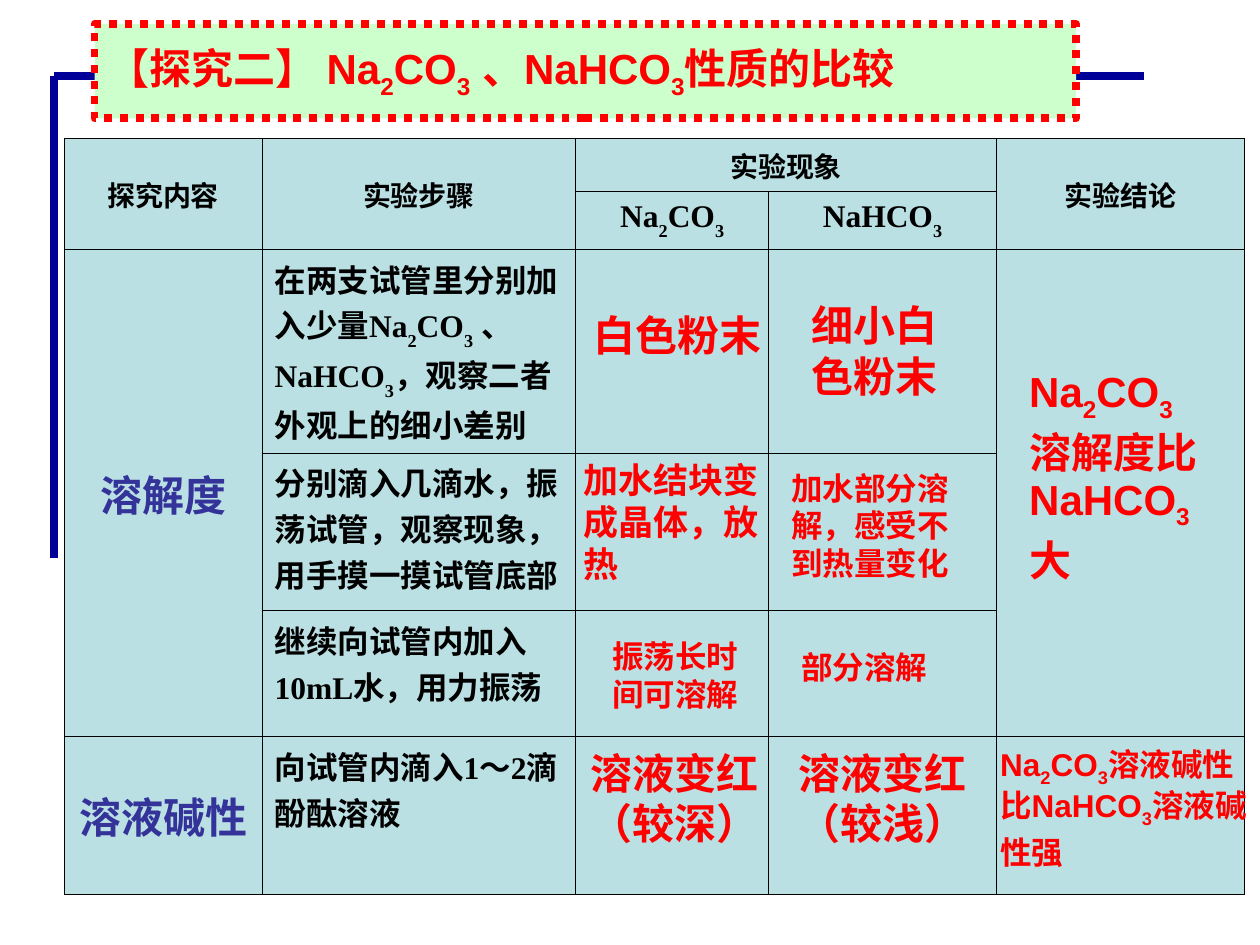
"""Build a slide comparing the properties of sodium carbonate and bicarbonate."""
from dataclasses import dataclass

from lxml import etree
from pptx import Presentation
from pptx import util as u
from pptx.dml.color import RGBColor
from pptx.enum import dml, shapes, text
from pptx.oxml import ns


@dataclass(frozen=True)
class Theme:
    """Colours, fonts and type sizes of the slide."""
    red: str = "FF0000"
    navy: str = "000099"
    indigo: str = "333399"
    black: str = "000000"
    mint: str = "CCFFCC"
    teal: str = "BBE0E3"
    sans: str = "Arial"
    serif: str = "Times New Roman"
    chinese: str = "Noto Sans CJK SC"
    large: int = 24
    medium: int = 20
    body: int = 18
    header: int = 16
    rule: float = 4.5
    border: float = 0.45


@dataclass(frozen=True)
class Style:
    """Type style of one paragraph."""
    size: int
    color: str
    font: str
    subscript: int = -25
    centered: bool = False


THEME = Theme()
TITLE = Style(THEME.large, THEME.red, THEME.sans)
HEADER = Style(THEME.header, THEME.black, THEME.serif, -30, True)
FORMULA = Style(THEME.body, THEME.black, THEME.serif, -30, True)
TOPIC = Style(THEME.large, THEME.indigo, THEME.serif, -30, True)
STEP = Style(THEME.body, THEME.black, THEME.serif, -30)
MEDIUM = Style(THEME.medium, THEME.red, THEME.sans)
SMALL = Style(THEME.body, THEME.red, THEME.sans)
COLOR_CHANGE = Style(THEME.large, THEME.red, THEME.chinese, centered=True)


@dataclass(frozen=True)
class Line:
    """A straight rule between two points."""
    x1: float
    y1: float
    x2: float
    y2: float


@dataclass(frozen=True)
class Entry:
    """The text of one table cell and the cells it spans."""
    row: int
    column: int
    words: str
    style: Style
    rows: int = 1
    columns: int = 1


@dataclass(frozen=True)
class Finding:
    """An answer laid over the table, with its number of lines."""
    left: float
    top: float
    width: float
    height: float
    lines: int
    words: str
    style: Style


LINES = [Line(0.43, 0.6, 0.43, 4.43), Line(4.92, 0.6, 9.08, 0.6), Line(0.43, 0.6, 1.27, 0.6)]
COLUMNS = [1.57, 2.49, 1.53, 1.81, 1.97]
ROWS = [0.37, 0.46, 1.6, 1.25, 1, 1.25]
ENTRIES = [
    Entry(0, 0, "探究内容", HEADER, rows=2),
    Entry(0, 1, "实验步骤", HEADER, rows=2),
    Entry(0, 2, "实验现象", HEADER, columns=2),
    Entry(0, 4, "实验结论", HEADER, rows=2),
    Entry(1, 2, "Na_2CO_3", FORMULA),
    Entry(1, 3, "NaHCO_3", FORMULA),
    Entry(2, 0, "溶解度", TOPIC, rows=3),
    Entry(2, 1, "在两支试管里分别加入少量Na_2CO_3 、NaHCO_3，观察二者外观上的细小差别", STEP),
    Entry(2, 4, "", STEP, rows=3),
    Entry(3, 1, "分别滴入几滴水，振荡试管，观察现象，用手摸一摸试管底部", STEP),
    Entry(4, 1, "继续向试管内加入10mL水，用力振荡", STEP),
    Entry(5, 0, "溶液碱性", TOPIC),
    Entry(5, 1, "向试管内滴入1～2滴酚酞溶液", STEP),
]
FINDINGS = [
    Finding(4.61, 2.41, 1.73, 0.5, 1, "白色粉末", TITLE),
    Finding(6.34, 2.33, 1.5, 0.9, 2, "细小白色粉末", TITLE),
    Finding(4.53, 3.59, 1.65, 1.1, 3, "加水结块变成晶体，放热", MEDIUM),
    Finding(6.18, 3.67, 1.65, 1, 3, "加水部分溶解，感受不到热量变化", SMALL),
    Finding(4.76, 5.01, 1.26, 0.7, 2, "振荡长时间可溶解", SMALL),
    Finding(6.26, 5.09, 1.5, 0.4, 1, "部分溶解", SMALL),
    Finding(8.07, 2.88, 1.57, 1.81, 4, "Na_2CO_3溶解度比NaHCO_3大", TITLE),
    Finding(4.53, 5.88, 1.65, 0.9, 2, "溶液变红（较深）", COLOR_CHANGE),
    Finding(6.18, 5.88, 1.65, 0.9, 2, "溶液变红（较浅）", COLOR_CHANGE),
    Finding(7.84, 5.88, 2.16, 1.08, 3, "Na_2CO_3溶液碱性比NaHCO_3溶液碱性强", SMALL),
]


def rgb(color: str) -> RGBColor:
    """Return the colour for a hexadecimal string."""
    return RGBColor.from_string(color)


def write(paragraph, words: str, style: Style) -> None:
    """Write words, setting each character after an underscore as a subscript."""
    first, *rest = words.split("_")
    pieces = [(first, False)]
    for part in rest:
        pieces += [(part[0], True), (part[1:], False)]
    paragraph.alignment = text.PP_ALIGN.CENTER if style.centered else text.PP_ALIGN.LEFT
    for piece, lowered in pieces:
        if not piece:
            continue
        run = paragraph.add_run()
        run.text = piece
        run.font.size = u.Pt(style.size)
        run.font.bold = True
        run.font.name = style.font
        run.font.color.rgb = rgb(style.color)
        properties = run.font._element
        etree.SubElement(properties, ns.qn("a:ea"), typeface=THEME.chinese)
        if lowered:
            properties.set("baseline", str(style.subscript * 1000))


def draw_line(slide, line: Line) -> None:
    """Draw one thick rule without a shadow."""
    points = map(u.Inches, (line.x1, line.y1, line.x2, line.y2))
    connector = slide.shapes.add_connector(shapes.MSO_CONNECTOR.STRAIGHT, *points)
    connector.line.color.rgb = rgb(THEME.navy)
    connector.line.width = u.Pt(THEME.rule)
    etree.SubElement(connector._element.spPr, ns.qn("a:effectLst"))


def draw_title(slide) -> None:
    """Turn the title placeholder into a dotted rounded banner above the rules."""
    title = slide.shapes.title
    title.left, title.top, title.width, title.height = map(u.Inches, (0.75, 0.19, 7.79, 0.75))
    geometry = etree.SubElement(title._element.spPr, ns.qn("a:prstGeom"), prst="roundRect")
    etree.SubElement(geometry, ns.qn("a:avLst"))
    title.fill.solid()
    title.fill.fore_color.rgb = rgb(THEME.mint)
    title.line.color.rgb = rgb(THEME.red)
    title.line.width = u.Pt(THEME.rule)
    title.line.dash_style = dml.MSO_LINE.ROUND_DOT
    frame = title.text_frame
    frame.word_wrap = True
    frame.auto_size = text.MSO_AUTO_SIZE.NONE
    frame.vertical_anchor = text.MSO_ANCHOR.MIDDLE
    write(frame.paragraphs[0], "【探究二】 Na_2CO_3 、NaHCO_3性质的比较", TITLE)
    slide.shapes._spTree.append(title._element)


def format_cell(cell) -> None:
    """Give a cell its fill and thin borders."""
    cell.fill.solid()
    cell.fill.fore_color.rgb = rgb(THEME.teal)
    properties = cell._tc.get_or_add_tcPr()
    for index, side in enumerate(("lnL", "lnR", "lnT", "lnB")):
        border = etree.Element(ns.qn(f"a:{side}"), w=str(u.Pt(THEME.border)))
        fill = etree.SubElement(border, ns.qn("a:solidFill"))
        etree.SubElement(fill, ns.qn("a:srgbClr"), val=THEME.black)
        properties.insert(index, border)


def draw_table(slide) -> None:
    """Draw the experiment table with its merged cells."""
    bounds = map(u.Inches, (0.51, 1.1, sum(COLUMNS), sum(ROWS)))
    table = slide.shapes.add_table(len(ROWS), len(COLUMNS), *bounds).table
    table.first_row = table.horz_banding = False
    for column, width in zip(table.columns, COLUMNS):
        column.width = u.Inches(width)
    for row, height in zip(table.rows, ROWS):
        row.height = u.Inches(height)
    for cell in table.iter_cells():
        format_cell(cell)
    for entry in ENTRIES:
        cell = table.cell(entry.row, entry.column)
        if entry.rows * entry.columns > 1:
            cell.merge(table.cell(entry.row + entry.rows - 1, entry.column + entry.columns - 1))
        if entry.style.centered:
            cell.vertical_anchor = text.MSO_ANCHOR.MIDDLE
        write(cell.text_frame.paragraphs[0], entry.words, entry.style)


def draw_finding(slide, finding: Finding) -> None:
    """Draw one answer, sharing the height of its box among its lines."""
    bounds = map(u.Inches, (finding.left, finding.top, finding.width, finding.height))
    frame = slide.shapes.add_textbox(*bounds).text_frame
    frame.word_wrap = True
    paragraph = frame.paragraphs[0]
    paragraph.line_spacing = u.Pt((finding.height - 0.1) * 72 / finding.lines)
    write(paragraph, finding.words, finding.style)


def main() -> None:
    """Build and save the presentation."""
    presentation = Presentation()
    presentation.slide_width, presentation.slide_height = u.Inches(10), u.Inches(7.5)
    slide = presentation.slides.add_slide(presentation.slide_layouts[5])
    for line in LINES:
        draw_line(slide, line)
    draw_title(slide)
    draw_table(slide)
    for finding in FINDINGS:
        draw_finding(slide, finding)
    presentation.save("out.pptx")


if __name__ == "__main__":
    main()
